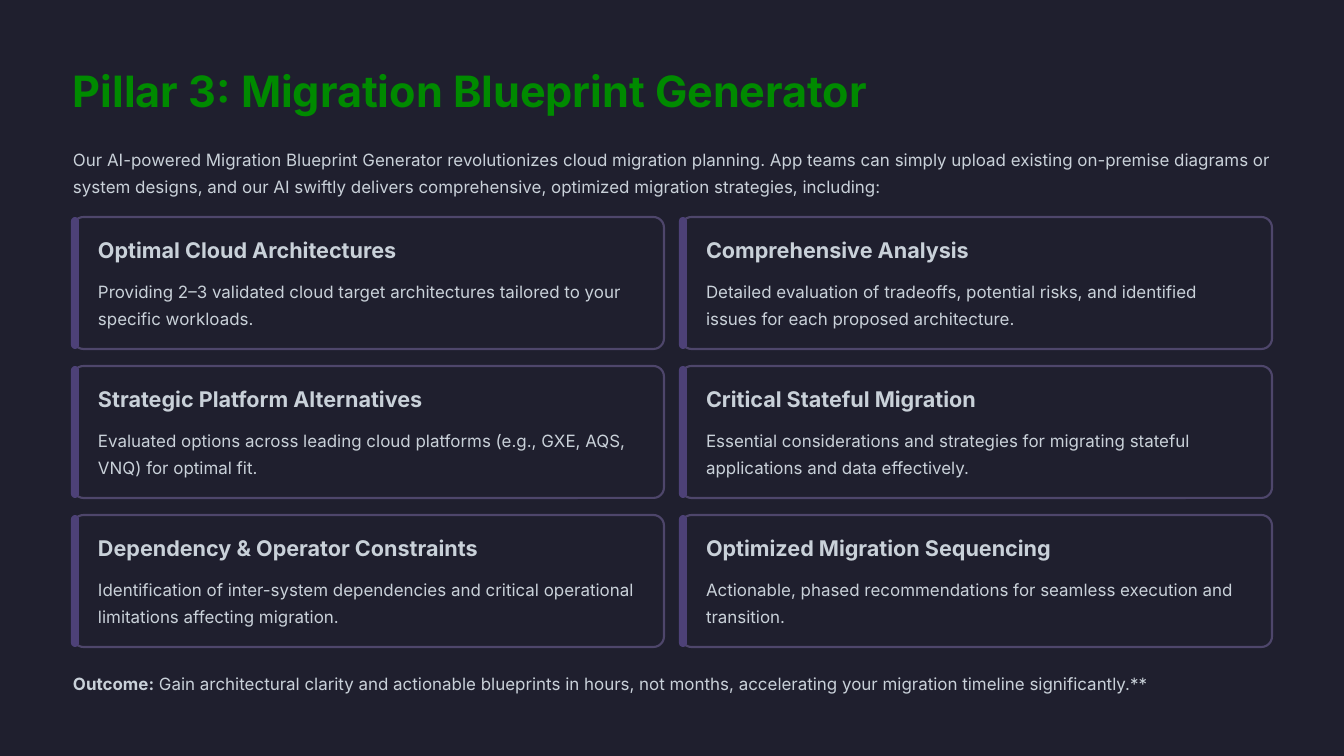
from typing import NamedTuple

from pptx import Presentation
from pptx.dml.color import RGBColor
from pptx.enum.shapes import MSO_SHAPE as Preset
from pptx.enum.text import MSO_ANCHOR as Anchor, MSO_AUTO_SIZE as AutoSize, PP_ALIGN as Align
from pptx.shapes.autoshape import Shape
from pptx.slide import Slide
from pptx.util import Emu, Pt

EMU_PER_PX = 914400 // 84
FONT = "Inter"
BACKGROUND = "1F1F2E"
TITLE_COLOR = "008A00"
TEXT_COLOR = "C9D1D9"
BORDER_COLOR = "4E466B"
ACCENT_COLOR = "4D4177"

MARGIN, CONTENT_WIDTH = 73, 1198
CARD_TOP, CARD_WIDTH, CARD_HEIGHT = 217, 591, 132
COLUMN_PITCH, ROW_PITCH, COLUMNS = 608, 149, 2


class Box(NamedTuple):
    left: int
    top: int
    width: int
    height: int


class TextStyle(NamedTuple):
    size: float
    line_spacing: float
    color: str = TEXT_COLOR


class TextRun(NamedTuple):
    text: str
    bold: bool = False


class Card(NamedTuple):
    heading: str
    body: str


TITLE_STYLE = TextStyle(37, 46, TITLE_COLOR)
HEADING_STYLE = TextStyle(18.5, 23)
BODY_STYLE = TextStyle(14.5, 23.5)

TITLE = "Pillar 3: Migration Blueprint Generator"
INTRO = (
    "Our AI-powered Migration Blueprint Generator revolutionizes cloud migration planning. "
    "App teams can simply upload existing on-premise diagrams or system designs, and our AI "
    "swiftly delivers comprehensive, optimized migration strategies, including:"
)
CARDS = [
    Card("Optimal Cloud Architectures",
         "Providing 2–3 validated cloud target architectures tailored to your specific workloads."),
    Card("Comprehensive Analysis",
         "Detailed evaluation of tradeoffs, potential risks, and identified issues for each "
         "proposed architecture."),
    Card("Strategic Platform Alternatives",
         "Evaluated options across leading cloud platforms (e.g., GXE, AQS, VNQ) for optimal fit."),
    Card("Critical Stateful Migration",
         "Essential considerations and strategies for migrating stateful applications and data "
         "effectively."),
    Card("Dependency & Operator Constraints",
         "Identification of inter-system dependencies and critical operational limitations "
         "affecting migration."),
    Card("Optimized Migration Sequencing",
         "Actionable, phased recommendations for seamless execution and transition."),
]
OUTCOME = [
    TextRun("Outcome:", bold=True),
    TextRun(" Gain architectural clarity and actionable blueprints in hours, not months, "
            "accelerating your migration timeline significantly.**"),
]


def px(length: int) -> Emu:
    return Emu(length * EMU_PER_PX)


def rgb(color: str) -> RGBColor:
    return RGBColor.from_string(color)


def place(shape: Shape, box: Box) -> None:
    shape.left, shape.top, shape.width, shape.height = map(px, box)


def write(shape: Shape, runs: list[TextRun], style: TextStyle, wrap: bool) -> None:
    frame = shape.text_frame
    frame.margin_left = frame.margin_top = frame.margin_right = frame.margin_bottom = 0
    frame.auto_size = AutoSize.NONE
    frame.word_wrap = wrap
    frame.vertical_anchor = Anchor.TOP
    paragraph = frame.paragraphs[0]
    paragraph.alignment = Align.LEFT
    paragraph.line_spacing = Pt(style.line_spacing)
    for text_run in runs:
        run = paragraph.add_run()
        run.text = text_run.text
        run.font.name = FONT
        run.font.size = Pt(style.size)
        run.font.bold = text_run.bold
        run.font.color.rgb = rgb(style.color)


def add_text(slide: Slide, box: Box, runs: list[TextRun], style: TextStyle,
             wrap: bool = True) -> None:
    write(slide.shapes.add_textbox(*map(px, box)), runs, style, wrap)


def add_rounded(slide: Slide, box: Box, rounding: float, fill: str,
                border: str | None = None) -> None:
    shape = slide.shapes.add_shape(Preset.ROUNDED_RECTANGLE, *map(px, box))
    shape.adjustments[0] = rounding
    shape.shadow.inherit = False
    shape.fill.solid()
    shape.fill.fore_color.rgb = rgb(fill)
    if border:
        shape.line.color.rgb = rgb(border)
        shape.line.width = Pt(1.8)
    else:
        shape.line.fill.background()


def add_card(slide: Slide, card: Card, left: int, top: int) -> None:
    add_rounded(slide, Box(left, top, CARD_WIDTH, CARD_HEIGHT), 0.08, BACKGROUND, BORDER_COLOR)
    add_rounded(slide, Box(left - 2, top, 8, CARD_HEIGHT), 0.5, ACCENT_COLOR)
    add_text(slide, Box(left + 25, top + 19, 545, 27), [TextRun(card.heading, bold=True)],
             HEADING_STYLE, wrap=False)
    add_text(slide, Box(left + 25, top + 57, 545, 55), [TextRun(card.body)], BODY_STYLE)


def main() -> None:
    presentation = Presentation()
    presentation.slide_width, presentation.slide_height = px(1344), px(756)
    slide = presentation.slides.add_slide(presentation.slide_layouts[5])
    slide.background.fill.solid()
    slide.background.fill.fore_color.rgb = rgb(BACKGROUND)

    title = slide.shapes.title
    place(title, Box(MARGIN, 62, 798, 54))
    write(title, [TextRun(TITLE, bold=True)], TITLE_STYLE, wrap=False)
    add_text(slide, Box(MARGIN, 142, CONTENT_WIDTH, 55), [TextRun(INTRO)], BODY_STYLE)
    for index, card in enumerate(CARDS):
        row, column = divmod(index, COLUMNS)
        add_card(slide, card, MARGIN + column * COLUMN_PITCH, CARD_TOP + row * ROW_PITCH)
    add_text(slide, Box(MARGIN, 666, CONTENT_WIDTH, 28), OUTCOME, BODY_STYLE, wrap=False)

    presentation.save("out.pptx")


if __name__ == "__main__":
    main()
